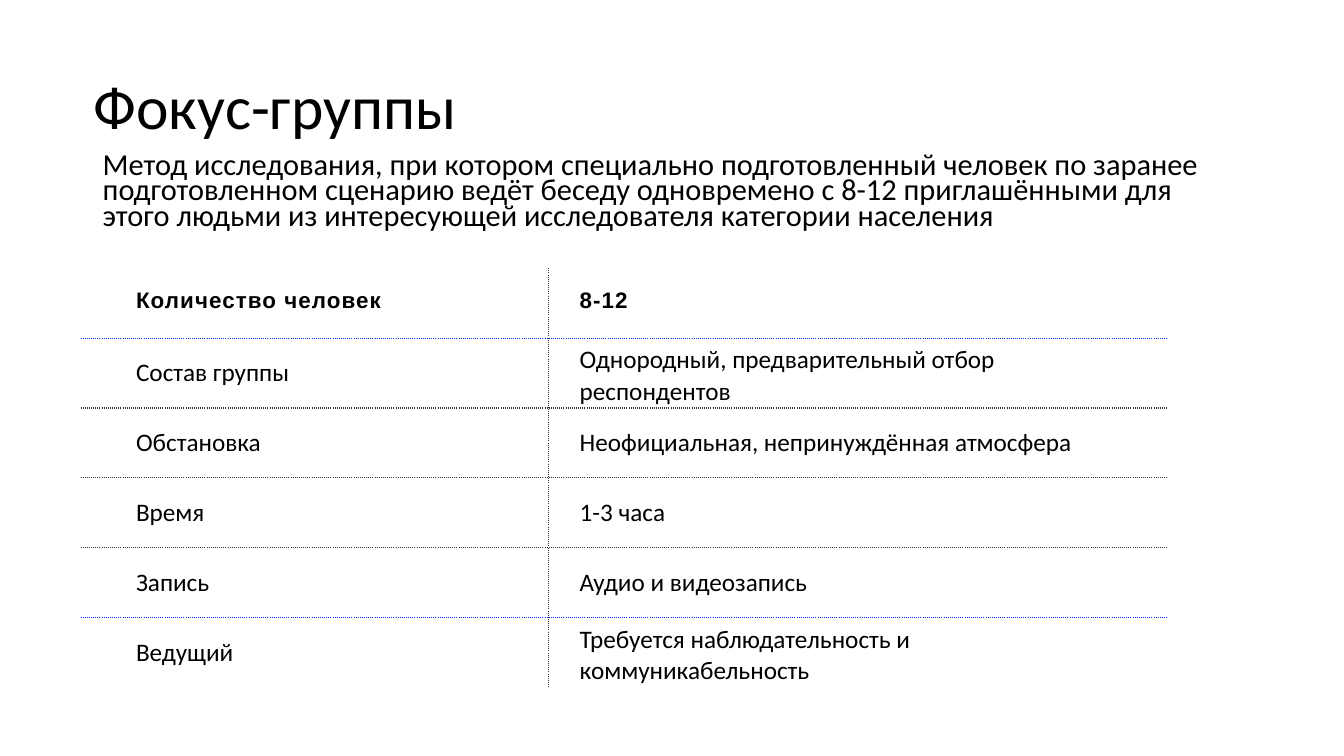
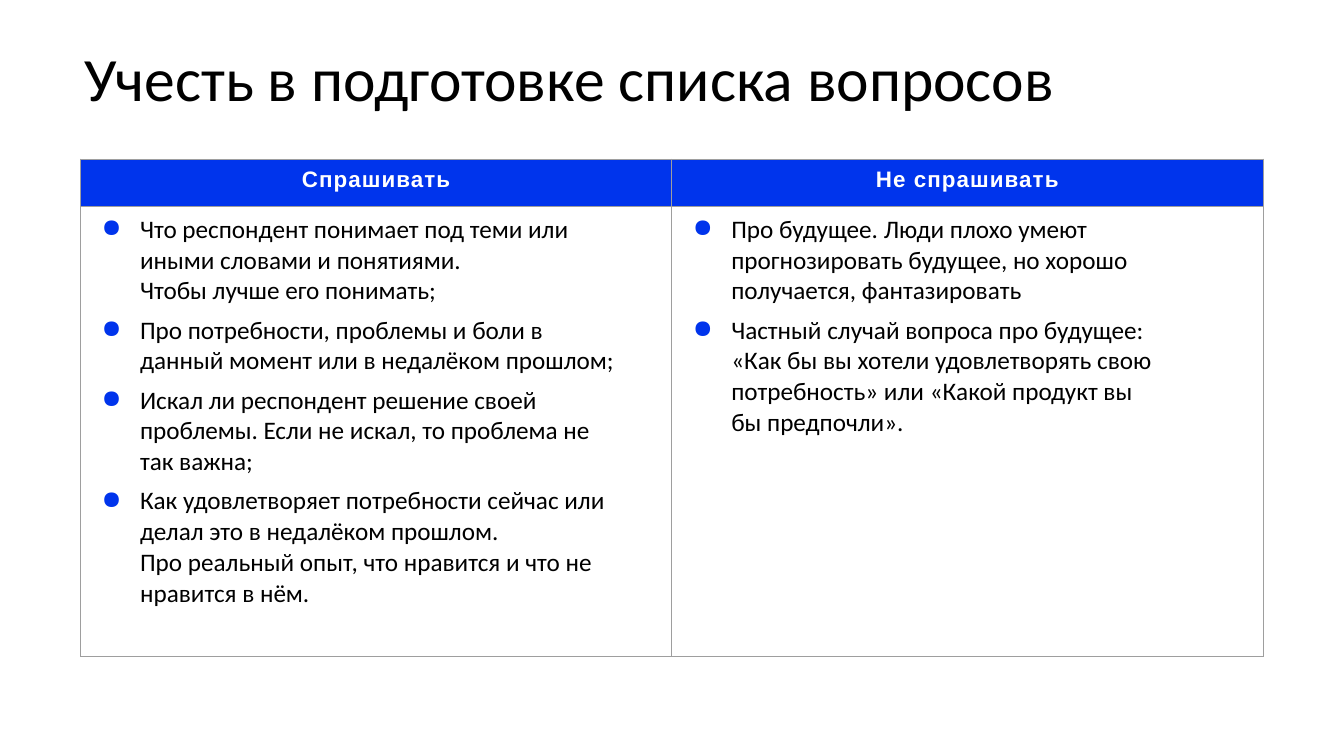
from lxml import etree
from pptx import Presentation
from pptx.dml.color import RGBColor
from pptx.enum.text import MSO_ANCHOR, PP_ALIGN
from pptx.oxml.ns import qn
from pptx.util import Cm, Pt

MIDDLE = MSO_ANCHOR.MIDDLE
LEFT, CENTER = PP_ALIGN.LEFT, PP_ALIGN.CENTER

BLACK = RGBColor(0x00, 0x00, 0x00)
WHITE = RGBColor(0xFF, 0xFF, 0xFF)
BLUE = RGBColor(0x00, 0x34, 0xEC)
DARK = RGBColor(0x33, 0x33, 0x33)
GREY = RGBColor(0x9E, 0x9E, 0x9E)

BODY_FONT, HEADER_FONT = "Calibri", "Arial"
PLAIN_TABLE = "{2D5ABB26-0587-4C30-8999-92F81FD0307C}"
TABLE_LEFT = Cm(2.03)
TITLE_WIDTH, TITLE_HEIGHT = Cm(29.21), Cm(1.9)

INTRO = (
    "Метод исследования, при котором специально подготовленный человек по заранее "
    "подготовленном сценарию ведёт беседу одновремено с 8-12 приглашёнными для "
    "этого людьми из интересующей исследователя категории населения"
)
FOCUS_ROWS = [
    ("Количество человек", "8-12"),
    ("Состав группы", "Однородный, предварительный отбор респондентов"),
    ("Обстановка", "Неофициальная, непринуждённая атмосфера"),
    ("Время", "1-3 часа"),
    ("Запись", "Аудио и видеозапись"),
    ("Ведущий", "Требуется наблюдательность и коммуникабельность"),
]
TWO_LINE_ROWS = (1, 5)
RULE_COLORS = [BLUE, DARK, DARK, DARK, BLUE]

QUESTION_COLUMNS = [
    ("Спрашивать", Cm(1.27), [
        "Что респондент понимает под теми или иными словами и понятиями.\n"
        "Чтобы лучше его понимать;",
        "Про потребности, проблемы и боли в данный момент или в недалёком прошлом;",
        "Искал ли респондент решение своей проблемы. Если не искал, то проблема не "
        "так важна;",
        "Как удовлетворяет потребности сейчас или делал это в недалёком прошлом.\n"
        "Про реальный опыт, что нравится и что не нравится в нём.",
    ]),
    ("Не спрашивать", Cm(2.67), [
        "Про будущее. Люди плохо умеют прогнозировать будущее, но хорошо "
        "получается, фантазировать",
        "Частный случай вопроса про будущее: «Как бы вы хотели удовлетворять свою "
        "потребность» или «Какой продукт вы бы предпочли».",
    ]),
]


def style_para(para, size, color=BLACK, font=BODY_FONT, bold=False, spacing=0):
    for span in para.runs:
        span.font.name = font
        span.font.size = Pt(size)
        span.font.bold = bold
        span.font.color.rgb = color
        if spacing:
            span.font._element.set("spc", str(round(spacing * 100)))


def style_header(para, color):
    style_para(para, 16, color, HEADER_FONT, True, 0.8)


def add_text(page, left, top, width, height, text, size):
    box = page.shapes.add_textbox(left, top, width, height)
    box.text_frame.word_wrap = True
    box.text_frame.text = text
    style_para(box.text_frame.paragraphs[0], size)
    return box.text_frame


def add_title(page, left, top, text):
    frame = add_text(page, left, top, TITLE_WIDTH, TITLE_HEIGHT, text, 44)
    frame.margin_left = frame.margin_right = frame.margin_top = frame.margin_bottom = 0
    frame.vertical_anchor = MIDDLE


def add_plain_table(page, top, widths, heights):
    table = page.shapes.add_table(
        len(heights), len(widths), TABLE_LEFT, top, sum(widths), sum(heights)
    ).table
    table.first_row = table.horz_banding = False
    table._tbl.tblPr.find(qn("a:tableStyleId")).text = PLAIN_TABLE
    for column, width in zip(table.columns, widths):
        column.width = width
    for row, height in zip(table.rows, heights):
        row.height = height
    return table


def set_borders(cell, colors, width, dash):
    properties = cell._tc.get_or_add_tcPr()
    for side, color in zip("LRTB", colors):
        line = etree.SubElement(properties, qn(f"a:ln{side}"), w=str(Pt(width)))
        if color is None:
            etree.SubElement(line, qn("a:noFill"))
            continue
        fill = etree.SubElement(line, qn("a:solidFill"))
        etree.SubElement(fill, qn("a:srgbClr"), val=str(color))
        etree.SubElement(line, qn("a:prstDash"), val=dash)


def fill_cell(cell, color, left=0, top=0, right=0):
    cell.fill.solid()
    cell.fill.fore_color.rgb = color
    cell.margin_left, cell.margin_top = left, top
    cell.margin_right, cell.margin_bottom = right, 0


def add_bullet(para):
    properties = para._p.get_or_add_pPr()
    properties.set("marL", str(Cm(1.5)))
    properties.set("indent", str(Cm(-0.97)))
    color = etree.SubElement(properties, qn("a:buClr"))
    etree.SubElement(color, qn("a:srgbClr"), val=str(BLUE))
    etree.SubElement(properties, qn("a:buChar"), char="●")


def add_focus_table(page, top):
    table = add_plain_table(
        page, top, [Cm(11.79), Cm(15.6)], [Cm(1.76)] * len(FOCUS_ROWS)
    )
    rules = [None, *RULE_COLORS, None]
    for row, texts in enumerate(FOCUS_ROWS):
        for column, text in enumerate(texts):
            cell = table.cell(row, column)
            sides = (DARK, None) if column else (None, DARK)
            set_borders(cell, (*sides, rules[row], rules[row + 1]), 1, "sysDot")
            two_lines = column == 1 and row in TWO_LINE_ROWS
            fill_cell(
                cell,
                WHITE,
                Cm(0.79) if column else Cm(1.4),
                Cm(0.15) if two_lines else Cm(0.5),
                Cm(1.27) if column else 0,
            )
            cell.text_frame.text = text
            para = cell.text_frame.paragraphs[0]
            if row == 0:
                style_header(para, BLACK)
            else:
                style_para(para, 18)
            if two_lines:
                para.line_spacing = 1.02


def add_question_table(page, top):
    table = add_plain_table(page, top, [Cm(14.9)] * 2, [Cm(1.19), Cm(11.35)])
    for column, (heading, right, questions) in enumerate(QUESTION_COLUMNS):
        header, body = table.cell(0, column), table.cell(1, column)
        for cell, color, margin in ((header, BLUE, 0), (body, WHITE, right)):
            set_borders(cell, [GREY] * 4, 0.75, "solid")
            fill_cell(cell, color, top=Cm(0.2), right=margin)

        header.text_frame.text = heading
        para = header.text_frame.paragraphs[0]
        para.alignment = CENTER
        style_header(para, WHITE)

        frame = body.text_frame
        for index, question in enumerate(questions):
            para = frame.add_paragraph() if index else frame.paragraphs[0]
            para.text = question
            para.alignment = LEFT
            if index:
                para.space_before = Pt(6.1)
            add_bullet(para)
            style_para(para, 18)


def build_focus_page(page):
    add_focus_table(page, Cm(6.76))
    add_title(page, Cm(2.36), Cm(1.7), "Фокус-группы")
    frame = add_text(page, Cm(2.34), Cm(3.78), TITLE_WIDTH, Cm(2.77), INTRO, 21.7)
    frame.paragraphs[0].line_spacing = 0.7


def build_question_page(page):
    add_title(page, Cm(2.13), Cm(1), "Учесть в подготовке списка вопросов")
    add_question_table(page, Cm(4.01))


def main():
    deck = Presentation()
    deck.slide_width, deck.slide_height = Cm(33.87), Cm(19.05)
    blank = deck.slide_layouts[6]
    for build in (build_focus_page, build_question_page):
        build(deck.slides.add_slide(blank))
    deck.save("out.pptx")


if __name__ == "__main__":
    main()
